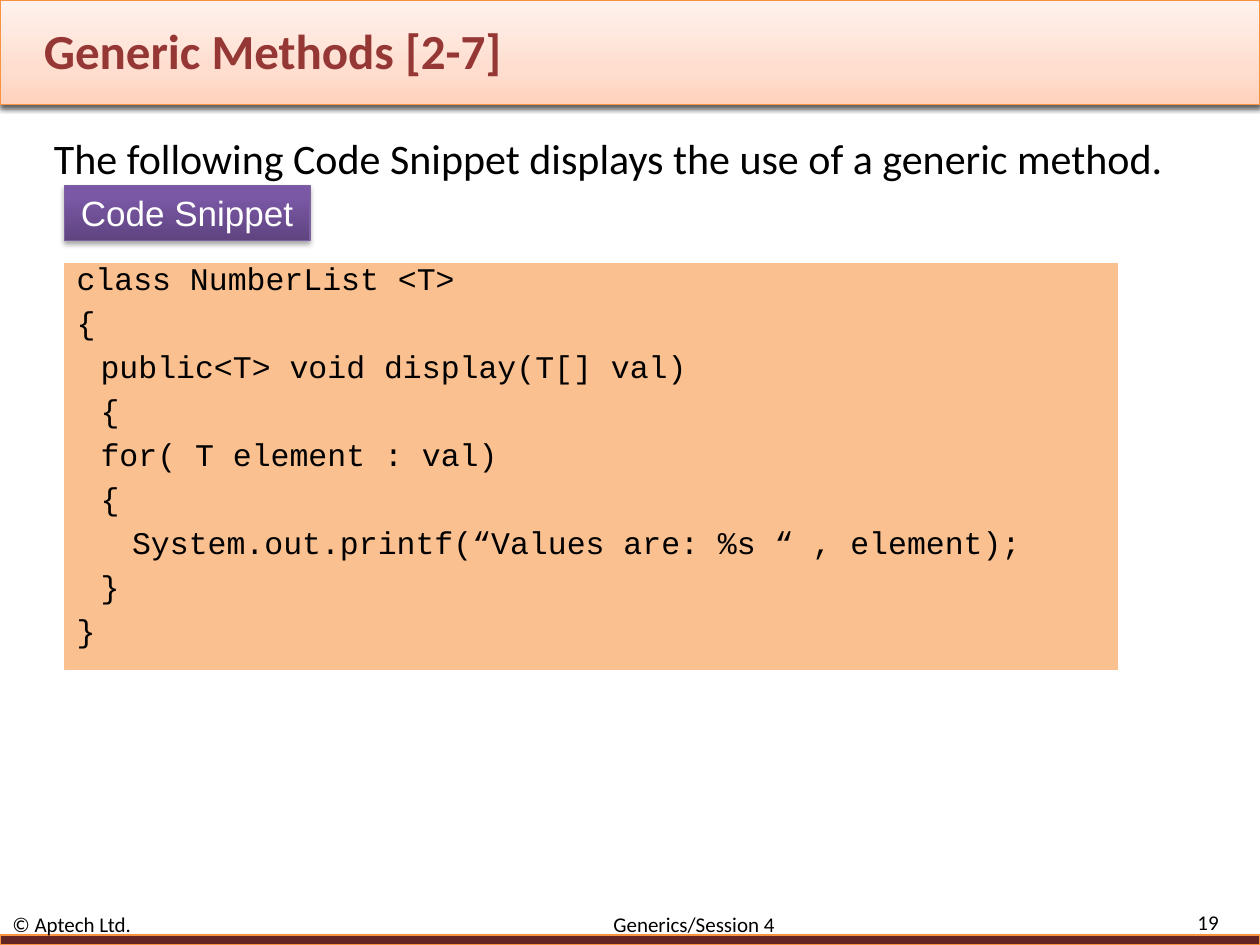
from dataclasses import dataclass
from typing import Optional

from lxml import etree
from pptx import Presentation
from pptx import util as u
from pptx.dml.color import RGBColor
from pptx.enum import shapes, text
from pptx.oxml import ns


@dataclass(frozen=True)
class Theme:
    ink: str = "000000"
    white: str = "FFFFFF"
    title: str = "953735"
    edge: str = "632523"
    rim: str = "F69240"
    code: str = "FAC090"
    tag: str = "7D60A0"
    peach: tuple = ((0, "FFD2BD"), (35, "FFDED0"), (100, "FFF2ED"))
    plum: tuple = ((0, "5F4480"), (80, "7B58A6"), (100, "7C57A8"))
    sans: str = "Calibri"
    mono: str = "Courier New"
    label: str = "Arial"
    head: int = 28
    body: int = 24
    chip: int = 20
    list: int = 18
    foot: int = 12


@dataclass(frozen=True)
class Shade:
    alpha: int
    dist: float
    blur: float = 3.1


@dataclass(frozen=True)
class Panel:
    box: tuple
    fill: object
    line: str
    shade: Optional[Shade] = None


@dataclass(frozen=True)
class Line:
    words: str
    indent: float = 0


@dataclass(frozen=True)
class Style:
    size: int
    name: str = "Calibri"
    color: str = "000000"
    bold: bool = False
    align: object = text.PP_ALIGN.LEFT
    anchor: object = text.MSO_ANCHOR.TOP
    gap: float = 0
    pitch: float = 1.0
    tab: float = 0


T = Theme()


def node(parent, tag: str, **attrs):
    return etree.SubElement(parent, ns.qn(tag), {k: str(v) for k, v in attrs.items()})


def blend(shape, stops: tuple) -> None:
    shape.fill.gradient()
    shape.fill.gradient_angle = 270
    grad = shape.element.spPr.find(ns.qn("a:gradFill"))
    grad.find(ns.qn("a:lin")).set("ang", "16200000")
    group = grad.find(ns.qn("a:gsLst"))
    for old in list(group):
        group.remove(old)
    for place, color in stops:
        node(node(group, "a:gs", pos=place * 1000), "a:srgbClr", val=color)


def cast(shape, shade: Shade) -> None:
    group = shape.element.spPr.find(ns.qn("a:effectLst"))
    drop = node(group, "a:outerShdw", blurRad=u.Pt(shade.blur),
                dist=u.Pt(shade.dist), dir=5400000, rotWithShape=0)
    node(node(drop, "a:srgbClr", val=T.ink), "a:alpha", val=shade.alpha * 1000)


def panel(slide, spec_: Panel):
    shape = slide.shapes.add_shape(shapes.MSO_SHAPE.RECTANGLE, *map(u.Inches, spec_.box))
    if isinstance(spec_.fill, tuple):
        blend(shape, spec_.fill)
    else:
        shape.fill.solid()
        shape.fill.fore_color.rgb = RGBColor.from_string(spec_.fill)
    shape.line.color.rgb = RGBColor.from_string(spec_.line)
    shape.line.width = u.Pt(0.75)
    shape.shadow.inherit = False
    if spec_.shade:
        cast(shape, spec_.shade)
    return shape


def write(shape, lines: list[Line], style: Style) -> None:
    frame = shape.text_frame
    frame.word_wrap = True
    frame.vertical_anchor = style.anchor
    for row, line in enumerate(lines):
        para = frame.add_paragraph() if row else frame.paragraphs[0]
        props = para._p.get_or_add_pPr()
        if line.indent:
            props.set("marL", str(u.Inches(line.indent)))
        if style.tab:
            node(node(props, "a:tabLst"), "a:tab", pos=u.Inches(style.tab), algn="l")
        layout = {"alignment": style.align, "line_spacing": style.pitch,
                  "space_before": u.Pt(style.gap if row else 0)}
        for key, value in layout.items():
            setattr(para, key, value)
        run = para.add_run()
        run.text = line.words
        face = {"name": style.name, "size": u.Pt(style.size), "bold": style.bold}
        for key, value in face.items():
            setattr(run.font, key, value)
        run.font.color.rgb = RGBColor.from_string(style.color)


def label(slide, box: tuple, words: str, style: Style):
    shape = slide.shapes.add_textbox(*map(u.Inches, box))
    write(shape, [Line(words)], style)
    return shape


def trim(shape, color: str) -> None:
    props = shape.text_frame.paragraphs[0].runs[0]._r.get_or_add_rPr()
    edge = etree.Element(ns.qn("a:ln"), {"w": str(u.Pt(0.75))})
    node(node(edge, "a:solidFill"), "a:srgbClr", val=color)
    props.insert(0, edge)


def main() -> None:
    deck = Presentation()
    deck.slide_width, deck.slide_height = u.Inches(10), u.Inches(7.5)
    slide = deck.slides.add_slide(deck.slide_layouts[6])
    mid = text.MSO_ANCHOR.MIDDLE

    panel(slide, Panel((0, 0, 10, 0.83), T.peach, T.rim, Shade(62, 1.6)))
    panel(slide, Panel((0, 7.42, 10, 0.08), T.edge, T.rim, Shade(35, 1.8)))

    label(slide, (0.33, 1, 9.42, 5.75),
          "The following Code Snippet displays the use of a generic method.",
          Style(T.body))
    title = label(slide, (0.25, 0.17, 8.33, 0.45), "Generic Methods [2-7]",
                  Style(T.head, color=T.title, bold=True, anchor=mid))
    trim(title, T.edge)
    label(slide, (0, 7.25, 8.83, 0.17), "© Aptech Ltd.\tGenerics/Session 4",
          Style(T.foot, anchor=mid, tab=4.77))
    label(slide, (8.92, 7.23, 0.85, 0.18), "19",
          Style(T.foot, align=text.PP_ALIGN.RIGHT, anchor=mid))

    step, deep = 0.19, 0.44
    code = [
        Line("class NumberList <T>"),
        Line("{"),
        Line("public<T> void display(T[] val)", step),
        Line("{", step),
        Line("for( T element : val)", step),
        Line("{", step),
        Line("System.out.printf(“Values are: %s “ , element);", deep),
        Line("}", step),
        Line("}"),
    ]
    block = panel(slide, Panel((0.51, 2.09, 8.36, 3.22), T.code, T.code))
    write(block, code, Style(T.list, T.mono, gap=10, pitch=0.7))

    chip = panel(slide, Panel((0.51, 1.47, 1.95, 0.44), T.plum, T.tag, Shade(35, 1.8)))
    write(chip, [Line("Code Snippet")],
          Style(T.chip, T.label, T.white, align=text.PP_ALIGN.CENTER))

    deck.save("out.pptx")


if __name__ == "__main__":
    main()
